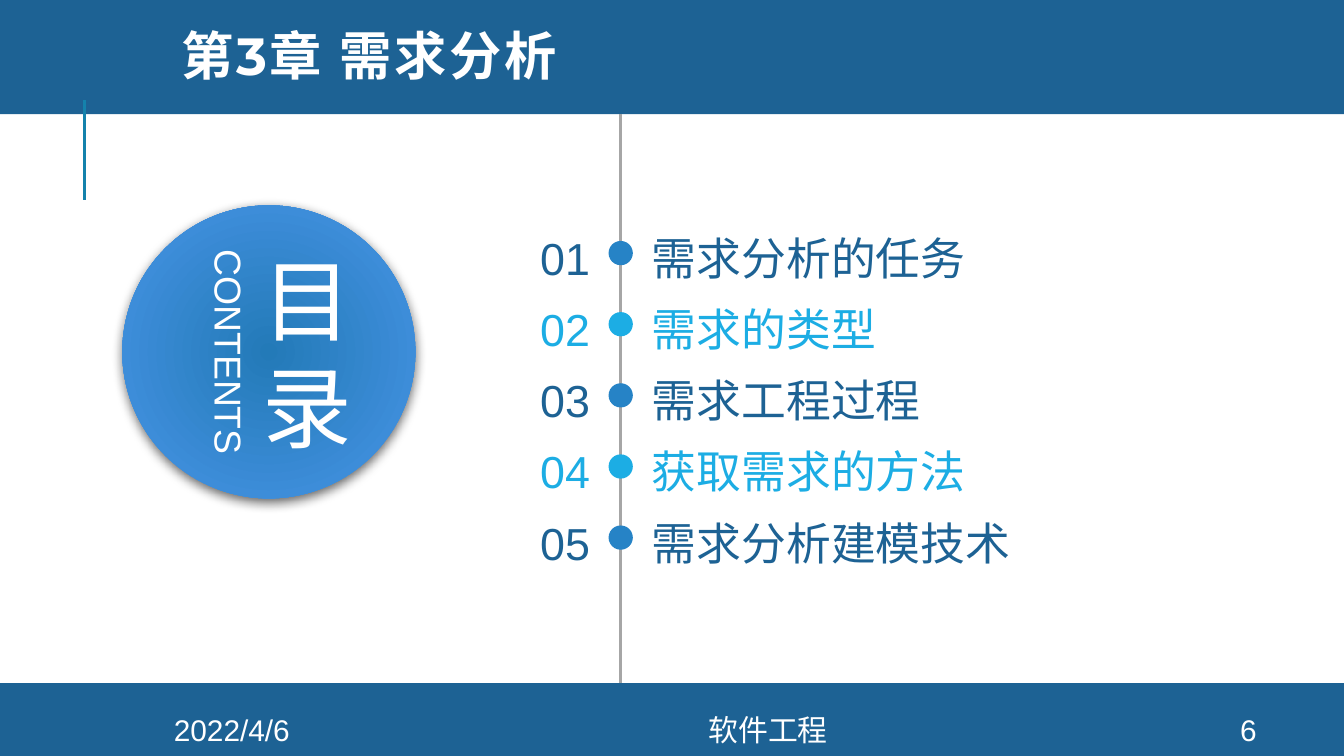
from lxml import etree
from pptx import Presentation
from pptx.dml.color import RGBColor
from pptx.enum import shapes, text
from pptx.oxml import parse_xml
from pptx.oxml.ns import nsdecls, qn
from pptx.util import Pt

NAVY, BLUE, SKY, WHITE = "1D6294", "2683C6", "1CADE4", "FFFFFF"
KIND = shapes.MSO_SHAPE
LEFT, MID, RIGHT = text.PP_ALIGN.LEFT, text.PP_ALIGN.CENTER, text.PP_ALIGN.RIGHT
ITEMS = ["需求分析的任务", "需求的类型", "需求工程过程", "获取需求的方法", "需求分析建模技术"]


def hue(code):
    return RGBColor.from_string(code)


def add_shape(slide, kind, box, fill):
    shape = slide.shapes.add_shape(kind, *map(Pt, box))
    shape.shadow.inherit = False
    shape.fill.solid()
    shape.fill.fore_color.rgb = hue(fill)
    shape.line.fill.background()
    return shape


def add_line(slide, x, top, end, color):
    line = slide.shapes.add_connector(
        shapes.MSO_CONNECTOR.STRAIGHT, Pt(x), Pt(top), Pt(x), Pt(end))
    line.line.color.rgb = hue(color)
    line.line.width = Pt(1.5)
    etree.SubElement(line._element.spPr, qn("a:effectLst"))


def add_text(slide, box, lines, size, color=WHITE, align=MID, inset=True,
             middle=False, font="Arial", bold=False, track=0, lead=None):
    """Add a text box with one paragraph for each entry in lines."""
    shape = slide.shapes.add_textbox(*map(Pt, box))
    frame = shape.text_frame
    frame.word_wrap = True
    if middle:
        frame.vertical_anchor = text.MSO_ANCHOR.MIDDLE
    if not inset:
        frame.margin_left = frame.margin_right = 0
        frame.margin_top = frame.margin_bottom = 0
    for i, line in enumerate(lines):
        para = frame.add_paragraph() if i else frame.paragraphs[0]
        para.alignment = align
        if lead:
            para.line_spacing = lead
        run = para.add_run()
        run.text = line
        run.font.name = font
        run.font.size = Pt(size)
        run.font.bold = bold
        run.font.color.rgb = hue(color)
        if track:
            run._r.get_or_add_rPr().set("spc", str(int(track * 100)))
    return shape


def add_disc(slide, box):
    """Add the circle with a radial gradient and a soft shadow below."""
    disc = add_shape(slide, KIND.OVAL, box, BLUE)
    props = disc._element.spPr
    grad = parse_xml(
        f'<a:gradFill {nsdecls("a")} rotWithShape="1"><a:gsLst>'
        '<a:gs pos="0"><a:srgbClr val="237AB8"/></a:gs>'
        '<a:gs pos="100000"><a:srgbClr val="4895E7"/></a:gs></a:gsLst>'
        '<a:path path="circle"><a:fillToRect l="100000" t="100000" '
        'r="100000" b="100000"/></a:path></a:gradFill>')
    props.replace(props.find(qn("a:solidFill")), grad)
    props.find(qn("a:effectLst")).append(parse_xml(
        f'<a:outerShdw {nsdecls("a")} blurRad="{Pt(6)}" dist="{Pt(2)}" '
        'dir="5400000" algn="t" rotWithShape="0"><a:srgbClr val="000000">'
        '<a:alpha val="60000"/></a:srgbClr></a:outerShdw>'))


def add_item(slide, i, label):
    y = 123.6 + 38.1 * i
    dot, ink = (SKY, SKY) if i % 2 else (BLUE, NAVY)
    add_shape(slide, KIND.OVAL, (326, y + 5.5, 13, 13), dot)
    add_text(slide, (273.6, y, 42.5, 29), [f"{i + 1:02}"], 24, ink, RIGHT, inset=False)
    add_text(slide, (349.2, y, 289, 29), [label], 24, ink, LEFT, inset=False)


def main():
    deck = Presentation()
    deck.slide_width, deck.slide_height = Pt(720), Pt(405)
    slide = deck.slides.add_slide(deck.slide_layouts[6])

    add_shape(slide, KIND.RECTANGLE, (0, -2, 720, 63.2), NAVY)
    add_shape(slide, KIND.RECTANGLE, (0, 366, 720, 39), NAVY)
    add_line(slide, 45.2, 53.5, 107, "1482AC")
    add_line(slide, 332.5, 61.2, 366, "A6A6A6")

    add_disc(slide, (65.5, 110, 157, 157))
    add_text(slide, (113.8, 116, 101.5, 145.4), ["目", "录"], 48,
             inset=False, middle=True, track=6)
    side = add_text(slide, (46.8, 172.8, 152, 31.5), ["CONTENTS"], 20)
    side.rotation = 90

    for x, width, label in [(60.5, 127.5, "2022/4/6"), (188, 447, "软件工程"),
                            (640, 57.6, "6")]:
        add_text(slide, (x, 382.5, width, 16.5), [label], 16, middle=True)

    add_text(slide, (90, 6.5, 595, 52), ["第3章 需求分析"], 28, align=LEFT,
             middle=True, font="Montserrat", bold=True, track=1.5, lead=0.8)
    for i, label in enumerate(ITEMS):
        add_item(slide, i, label)

    deck.save("out.pptx")


if __name__ == "__main__":
    main()
